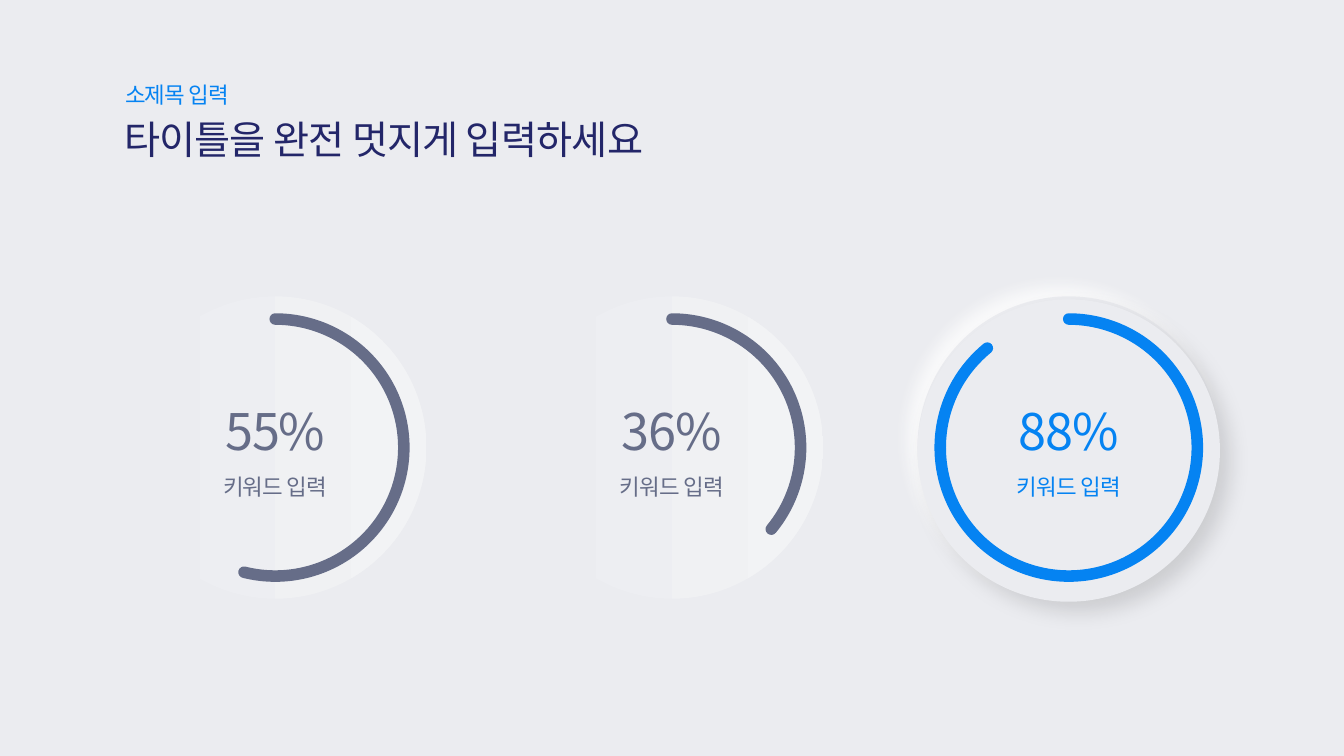
import pptx
import pptx.util
import pptx.dml.color
import pptx.enum.shapes
import pptx.enum.text
import pptx.oxml
import pptx.oxml.ns

Inches, Pt = pptx.util.Inches, pptx.util.Pt
SHAPE = pptx.enum.shapes.MSO_SHAPE
ALIGN = pptx.enum.text.PP_ALIGN

# Content
FONT = "Noto Sans CJK KR"
BG, PALE, GREY, BLUE, NAVY = "EBECF0", "F2F3F5", "666D88", "0583F2", "232669"
SUBTITLE = "소제목 입력"
TITLE = "타이틀을 완전 멋지게 입력하세요"
GAUGES = [  # value, label, end angle in degrees, colour, raised
    ("55%", "키워드 입력", 104.05, GREY, False),
    ("36%", "키워드 입력", 39.4, GREY, False),
    ("88%", "키워드 입력", 230.68, BLUE, True),
]
SHADOWS = [  # top, colour, opacity %, blur pt, distance pt, direction
    (2.94, "FFFFFF", 78, 12, 10, 225),
    (2.97, "000000", 12, 15, 10, 45),
]

# Layout in inches
FIRST_LEFT, LAST_LEFT, TOP = 1.23, 9.1, 2.94
PITCH = (LAST_LEFT - FIRST_LEFT) / (len(GAUGES) - 1)
DISC, RING = 3, 2.55
ARC_START = 270


def rgb(color):
    return pptx.dml.color.RGBColor.from_string(color)


def add_text(text, left, top, width, height, size, color,
             align=ALIGN.LEFT, spacing=-50, line_spacing=None):
    tb = s.shapes.add_textbox(Inches(left), Inches(top), Inches(width), Inches(height))
    tf = tb.text_frame
    tf.margin_left = tf.margin_top = tf.margin_right = tf.margin_bottom = 0
    tf.word_wrap = False
    tf.auto_size = pptx.enum.text.MSO_AUTO_SIZE.SHAPE_TO_FIT_TEXT
    tf.text = text
    p = tf.paragraphs[0]
    p.alignment = align
    if line_spacing:
        p.line_spacing = line_spacing
    r = p.runs[0]
    r.font.size = Pt(size)
    r.font.name = FONT
    r.font.color.rgb = rgb(color)
    rPr = r.font._element
    rPr.set("spc", str(spacing))
    ea = pptx.oxml.parse_xml(f'<a:ea {pptx.oxml.ns.nsdecls("a")} typeface="{FONT}"/>')
    rPr.find(pptx.oxml.ns.qn("a:latin")).addnext(ea)


def add_disc(shapes, left, top):
    sp = shapes.add_shape(SHAPE.OVAL, Inches(left), Inches(top), Inches(DISC), Inches(DISC))
    sp.shadow.inherit = False
    sp.line.fill.background()
    return sp


def add_flat_disc(left):
    fill = add_disc(s.shapes, left, TOP).fill
    fill.gradient()
    fill.gradient_angle = 0
    for stop, color in zip(fill.gradient_stops, (BG, PALE)):
        stop.color.rgb = rgb(color)


def add_raised_disc(left):
    group = s.shapes.add_group_shape()
    for top, color, opacity, blur, distance, direction in SHADOWS:
        sp = add_disc(group.shapes, left, top)
        sp.fill.solid()
        sp.fill.fore_color.rgb = rgb(BG)
        effects = sp._element.spPr.find(pptx.oxml.ns.qn("a:effectLst"))
        effects.append(pptx.oxml.parse_xml(
            f'<a:outerShdw {pptx.oxml.ns.nsdecls("a")} blurRad="{Pt(blur)}" '
            f'dist="{Pt(distance)}" dir="{direction * 60000}" algn="ctr" rotWithShape="0">'
            f'<a:srgbClr val="{color}"><a:alpha val="{opacity * 1000}"/></a:srgbClr>'
            '</a:outerShdw>'))


def add_arc(left, top, end, color):
    sp = s.shapes.add_shape(SHAPE.ARC, Inches(left), Inches(top), Inches(RING), Inches(RING))
    sp.shadow.inherit = False
    sp.fill.background()
    sp.line.color.rgb = rgb(color)
    sp.line.width = Pt(8.25)
    sp.line._ln.set("cap", "rnd")
    # Adjustments count 100000ths, angles 60000ths of a degree
    sp.adjustments[0] = ARC_START * 0.6
    sp.adjustments[1] = end * 0.6


prs = pptx.Presentation()
prs.slide_width, prs.slide_height = Inches(13.33), Inches(7.5)
s = prs.slides.add_slide(prs.slide_layouts[6])
s.background.fill.solid()
s.background.fill.fore_color.rgb = rgb(BG)

# Heading
add_text(SUBTITLE, 1.24, 0.81, 1.1, 0.27, 16, BLUE)
add_text(TITLE, 1.23, 1.1, 5.49, 0.52, 28, NAVY, line_spacing=1.1)

# Gauges
for i, (value, label, end, color, raised) in enumerate(GAUGES):
    left = FIRST_LEFT + i * PITCH
    center = left + DISC / 2
    (add_raised_disc if raised else add_flat_disc)(left)
    add_arc(center - RING / 2, TOP + (DISC - RING) / 2, end, color)
    for text, top, width, height, size, spacing in (
            (value, 3.97, 1.14, 0.61, 36, -70), (label, 4.69, 1.1, 0.27, 16, -50)):
        add_text(text, center - width / 2, top, width, height, size, color,
                 ALIGN.CENTER, spacing)

prs.save("out.pptx")
